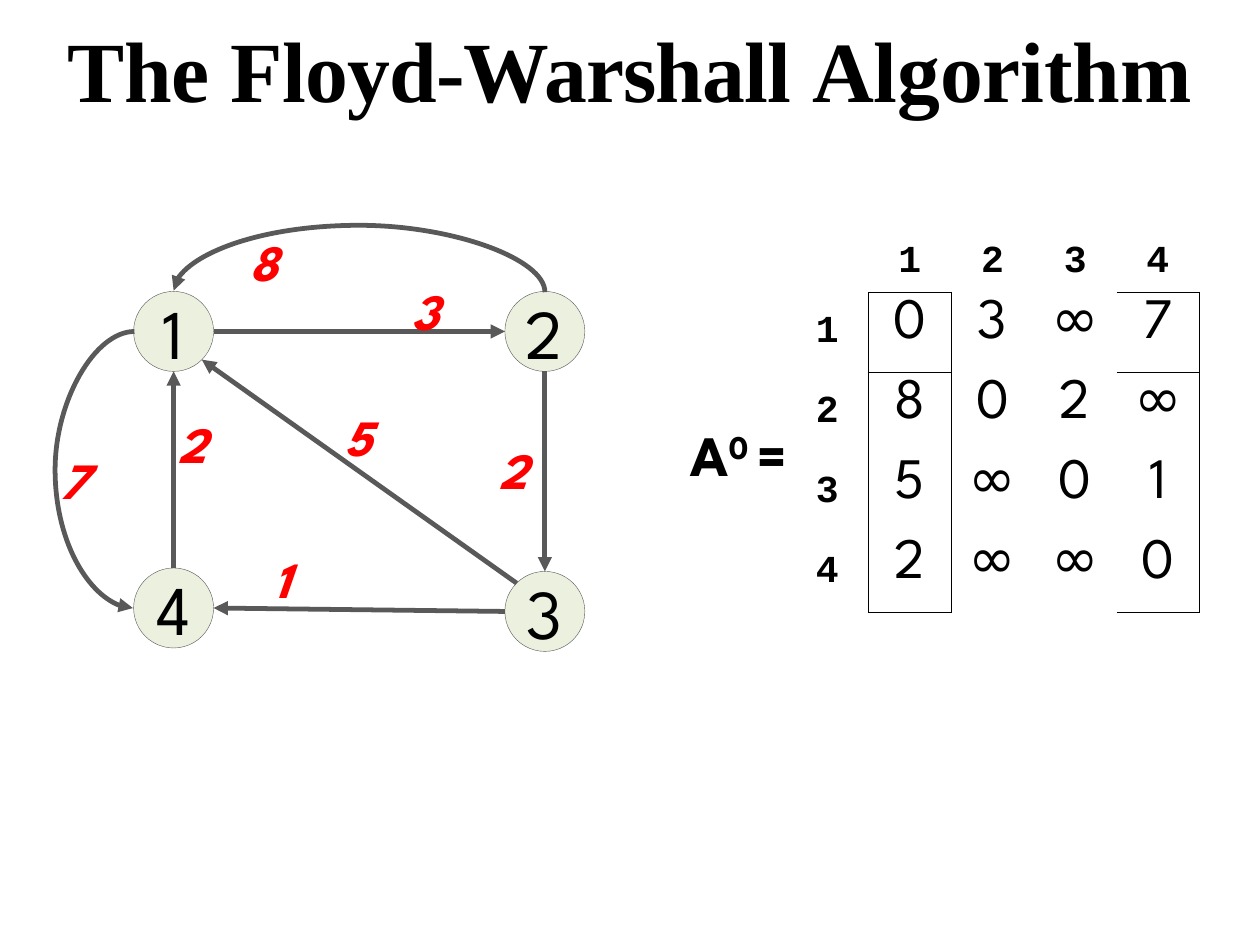
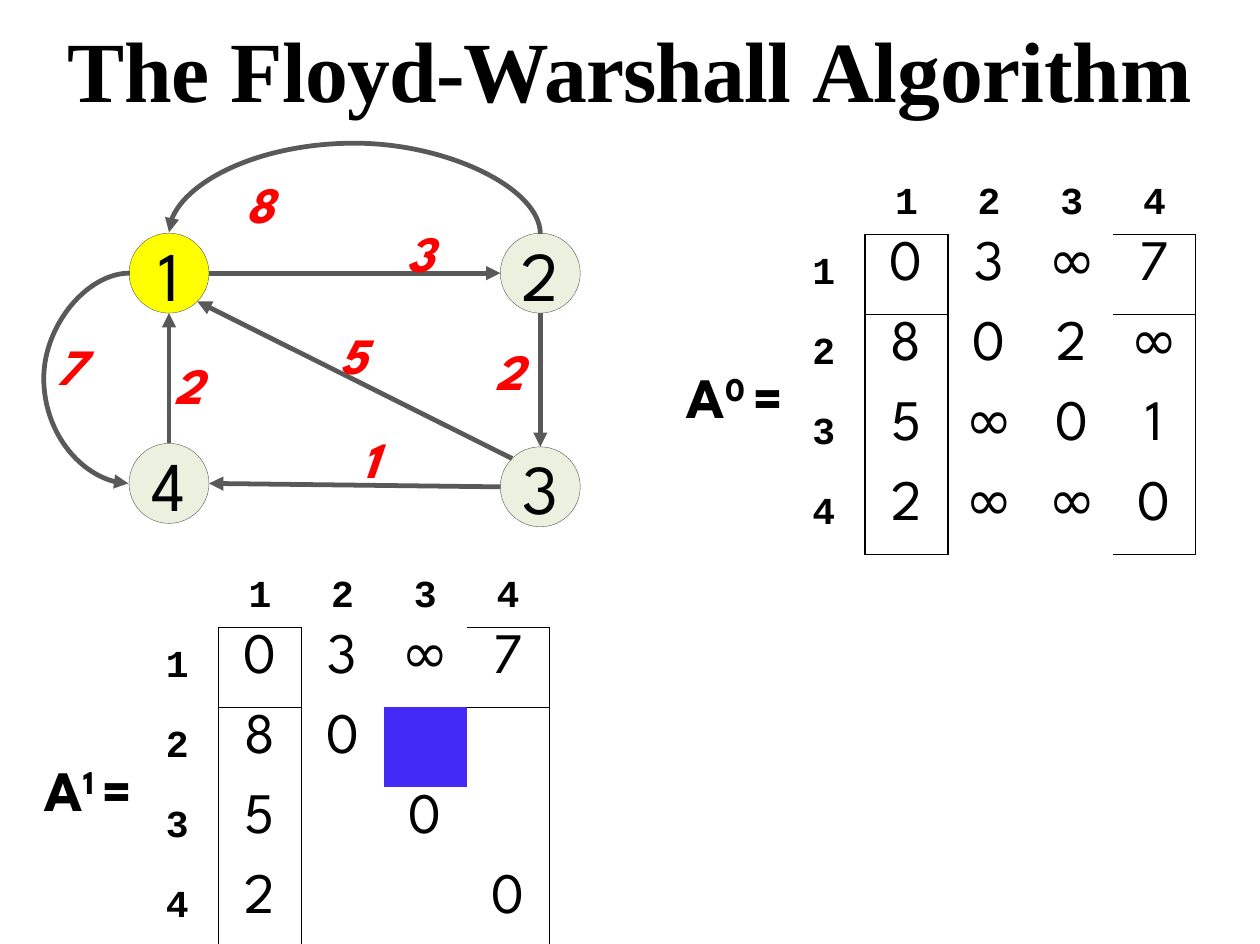
import math

from pptx import Presentation, util as u
from pptx.dml.color import RGBColor
from pptx.enum import shapes, text
from pptx.oxml import ns
from lxml import etree

BLACK, GREY, RED = "000000", "595959", "FF0000"
PALE_GREEN, YELLOW, BLUE = "EBF1DE", "FFFF00", "432BF5"
DISPLAY, SERIF, MONO = "League Spartan", "Times New Roman", "Courier New"
RADIUS = 0.35
# Connection sites of an ellipse, counter-clockwise from the top
TOP, TOP_LEFT, LEFT, BOTTOM, BOTTOM_RIGHT, RIGHT = 0, 1, 2, 4, 5, 6

STRAIGHT_EDGES = [
    ("3", TOP_LEFT, "1", BOTTOM_RIGHT),
    ("2", BOTTOM, "3", TOP),
    ("3", LEFT, "4", RIGHT),
    ("1", RIGHT, "2", LEFT),
    ("4", TOP, "1", BOTTOM),
]
A0 = ["03∞7", "802∞", "5∞01", "2∞∞0"]
A1 = ["03∞7", "80  ", "5 0 ", "2  0"]


def color(hex_code):
    return RGBColor.from_string(hex_code)


def add_xml(parent, tag, **attributes):
    element = etree.SubElement(parent, ns.qn(tag))
    for name, value in attributes.items():
        element.set(name, str(value))
    return element


def add_text(para, words, size=36, font=DISPLAY, fill=BLACK, bold=False,
             italic=False, align=None, spacing=0, baseline=0):
    """Add a run; spacing is in hundredths of a point, baseline in percent."""
    if align is not None:
        para.alignment = align
    span = para.add_run()
    span.text = words
    span.font.size = u.Pt(size)
    span.font.name = font
    span.font.bold = bold
    span.font.italic = italic
    span.font.color.rgb = color(fill)
    properties = span._r.get_or_add_rPr()
    if spacing:
        properties.set("spc", str(spacing))
    if baseline:
        properties.set("baseline", str(baseline * 1000))


def set_frame(frame, inset=0, top_inset=0, anchor=text.MSO_ANCHOR.TOP, wrap=True):
    frame.margin_left = frame.margin_right = frame.margin_bottom = u.Inches(inset)
    frame.margin_top = u.Inches(top_inset)
    frame.vertical_anchor = anchor
    frame.word_wrap = wrap
    frame.auto_size = text.MSO_AUTO_SIZE.NONE


def add_page(deck):
    page = deck.slides.add_slide(deck.slide_layouts[5])
    title = page.shapes.title
    title.left, title.top = u.Inches(0.32), u.Inches(0.14)
    title.width, title.height = u.Inches(10.38), u.Inches(0.92)
    set_frame(title.text_frame, top_inset=0.01)
    para = title.text_frame.paragraphs[0]
    for words, spacing in (("The ", -10), ("Floyd-Warshall ", -50), ("Algorithm", -10)):
        add_text(para, words, size=54, font=SERIF, bold=True,
                 align=text.PP_ALIGN.CENTER, spacing=spacing)
    return page


def add_node(page, name, center, fill):
    x, y = center
    node = page.shapes.add_shape(
        shapes.MSO_SHAPE.OVAL, u.Inches(x - RADIUS), u.Inches(y - RADIUS),
        u.Inches(2 * RADIUS), u.Inches(2 * RADIUS))
    node.shadow.inherit = False
    node.fill.solid()
    node.fill.fore_color.rgb = color(fill)
    node.line.color.rgb = color(GREY)
    node.line.width = u.Pt(0.25)
    set_frame(node.text_frame, anchor=text.MSO_ANCHOR.MIDDLE, wrap=False)
    add_text(node.text_frame.paragraphs[0], name, size=44,
             align=text.PP_ALIGN.CENTER)
    return node


def site_point(node, site):
    """Return the position of an ellipse's connection site."""
    angle = math.radians(90 + 45 * site)
    radius = node.width / 2
    return (round(node.left + radius * (1 + math.cos(angle))),
            round(node.top + radius * (1 - math.sin(angle))))


def style_arrow(arrow, ends):
    """Give the arrow its line and head and join it to (node, site) pairs."""
    arrow.line.color.rgb = color(GREY)
    arrow.line.width = u.Pt(3)
    add_xml(arrow.line._ln, "a:tailEnd", type="triangle")
    add_xml(arrow._element.spPr, "a:effectLst")
    joints = arrow._element.find(".//" + ns.qn("p:cNvCxnSpPr"))
    for tag, (node, site) in zip(("a:stCxn", "a:endCxn"), ends):
        add_xml(joints, tag, id=node.shape_id, idx=site)


def add_straight_edge(page, start, end):
    arrow = page.shapes.add_connector(
        shapes.MSO_CONNECTOR.STRAIGHT, *site_point(*start), *site_point(*end))
    style_arrow(arrow, (start, end))


def add_arc_edge(page, start, end, bulge, rotation):
    """Add a curve that leaves both nodes on the same side."""
    (x1, y1), (x2, y2) = site_point(*start), site_point(*end)
    depth, length = u.Pt(1), abs(x2 - x1) + abs(y2 - y1)
    left, top = (x1 + x2 - depth) // 2, (y1 + y2 - length) // 2
    arrow = page.shapes.add_connector(
        shapes.MSO_CONNECTOR.CURVE, left, top, left + depth, top + length)
    properties = arrow._element.spPr
    frame = properties.find(ns.qn("a:xfrm"))
    frame.set("rot", str(rotation * 60000))
    frame.set("flipV", "1")
    guides = properties.find(".//" + ns.qn("a:avLst"))
    if guides is None:
        guides = add_xml(properties.find(ns.qn("a:prstGeom")), "a:avLst")
    ratio = round(u.Inches(bulge) / depth * 100000)
    add_xml(guides, "a:gd", name="adj1", fmla=f"val {ratio}")
    style_arrow(arrow, (start, end))


def add_graph(page, centers, weights, top_bulge, left_bulge, active=None):
    nodes = {name: add_node(page, name, center,
                            YELLOW if name == active else PALE_GREEN)
             for name, center in centers.items()}
    for source, leave, target, arrive in STRAIGHT_EDGES:
        add_straight_edge(page, (nodes[source], leave), (nodes[target], arrive))
    add_arc_edge(page, (nodes["2"], TOP), (nodes["1"], TOP), top_bulge, 270)
    add_arc_edge(page, (nodes["1"], LEFT), (nodes["4"], LEFT), left_bulge, 180)
    for weight, left, top in weights:
        box = page.shapes.add_textbox(
            u.Inches(left), u.Inches(top), u.Inches(0.47), u.Inches(0.64))
        set_frame(box.text_frame, inset=0.1, top_inset=0.05, wrap=False)
        add_text(box.text_frame.paragraphs[0], weight, size=32, fill=RED,
                 bold=True, italic=True, align=text.PP_ALIGN.LEFT)


def bracket_sides(row, column, last):
    """List the borders of a cell that belong to the matrix brackets."""
    sides = []
    if row and column == 1:
        sides.append("L")
    if row and column in (0, last):
        sides.append("R")
    if column in (1, last):
        if row == 1:
            sides.append("T")
        if row in (0, last):
            sides.append("B")
    return sides


def fill_cell(cell, words, sides, heading, anchor, fill=None):
    properties = cell._tc.get_or_add_tcPr()
    for side in sides:
        line = add_xml(properties, "a:ln" + side, w=u.Pt(1))
        add_xml(add_xml(line, "a:solidFill"), "a:srgbClr", val=BLACK)
    cell.vertical_anchor = anchor
    if fill:
        cell.fill.solid()
        cell.fill.fore_color.rgb = color(fill)
    else:
        cell.fill.background()
    if words.strip():
        style = {"size": 24, "font": MONO, "bold": True} if heading else {}
        add_text(cell.text_frame.paragraphs[0], words,
                 align=text.PP_ALIGN.CENTER, **style)


def add_matrix(page, power, values, left, top, marked=None):
    """Add a bracketed matrix with headings and its label to the left."""
    last = len(values)
    rows = [" 1234"] + [str(number) + row for number, row in enumerate(values, 1)]
    table = page.shapes.add_table(
        last + 1, last + 1, u.Inches(left), u.Inches(top),
        u.Inches(3.62), u.Inches(3.3)).table
    table.first_row = table.horz_banding = False
    style = table._tbl.tblPr.find(ns.qn("a:tableStyleId"))
    style.text = "{2D5ABB26-0587-4C30-8999-92F81FD0307C}"
    for row, words in enumerate(rows):
        table.rows[row].height = u.Inches(0.7 if row else 0.5)
        for column, entry in enumerate(words):
            row_label = row and not column
            fill_cell(table.cell(row, column), entry,
                      bracket_sides(row, column, last),
                      heading=not (row and column),
                      anchor=text.MSO_ANCHOR.MIDDLE if row_label else text.MSO_ANCHOR.TOP,
                      fill=BLUE if (row, column) == marked else None)

    label = page.shapes.add_textbox(
        u.Inches(left - 1.03), u.Inches(top + 1.6), u.Inches(1.23), u.Inches(0.62))
    set_frame(label.text_frame, top_inset=0.01)
    for words, baseline in (("A", 0), (power + " ", 30), ("=", 0)):
        add_text(label.text_frame.paragraphs[0], words, bold=True, spacing=-10,
                 align=text.PP_ALIGN.CENTER, baseline=baseline)


def main():
    deck = Presentation()
    deck.slide_width, deck.slide_height = u.Inches(11.03), u.Inches(8.26)

    page = add_page(deck)
    add_graph(
        page,
        {"1": (1.52, 2.9), "4": (1.52, 5.32), "2": (4.77, 2.9), "3": (4.77, 5.35)},
        [("7", 0.43, 3.88), ("2", 4.27, 3.79), ("1", 2.3, 4.74), ("5", 2.92, 3.5),
         ("3", 3.5, 2.4), ("8", 2.09, 1.97), ("2", 1.46, 3.56)],
        top_bulge=0.59, left_bulge=0.7)
    add_matrix(page, "0", A0, 6.88, 2.06)

    page = add_page(deck)
    add_graph(
        page,
        {"1": (1.48, 2.39), "4": (1.48, 4.23), "2": (4.73, 2.39), "3": (4.73, 4.26)},
        [("7", 0.4, 2.88), ("2", 4.23, 2.92), ("1", 3.07, 3.69), ("5", 2.87, 2.78),
         ("3", 3.46, 1.89), ("8", 2.05, 1.46), ("2", 1.42, 3.05)],
        top_bulge=0.8, left_bulge=0.76, active="1")
    add_matrix(page, "0", A0, 6.85, 1.55)
    add_matrix(page, "1", A1, 1.19, 4.99, marked=(2, 3))

    deck.save("out.pptx")


if __name__ == "__main__":
    main()
